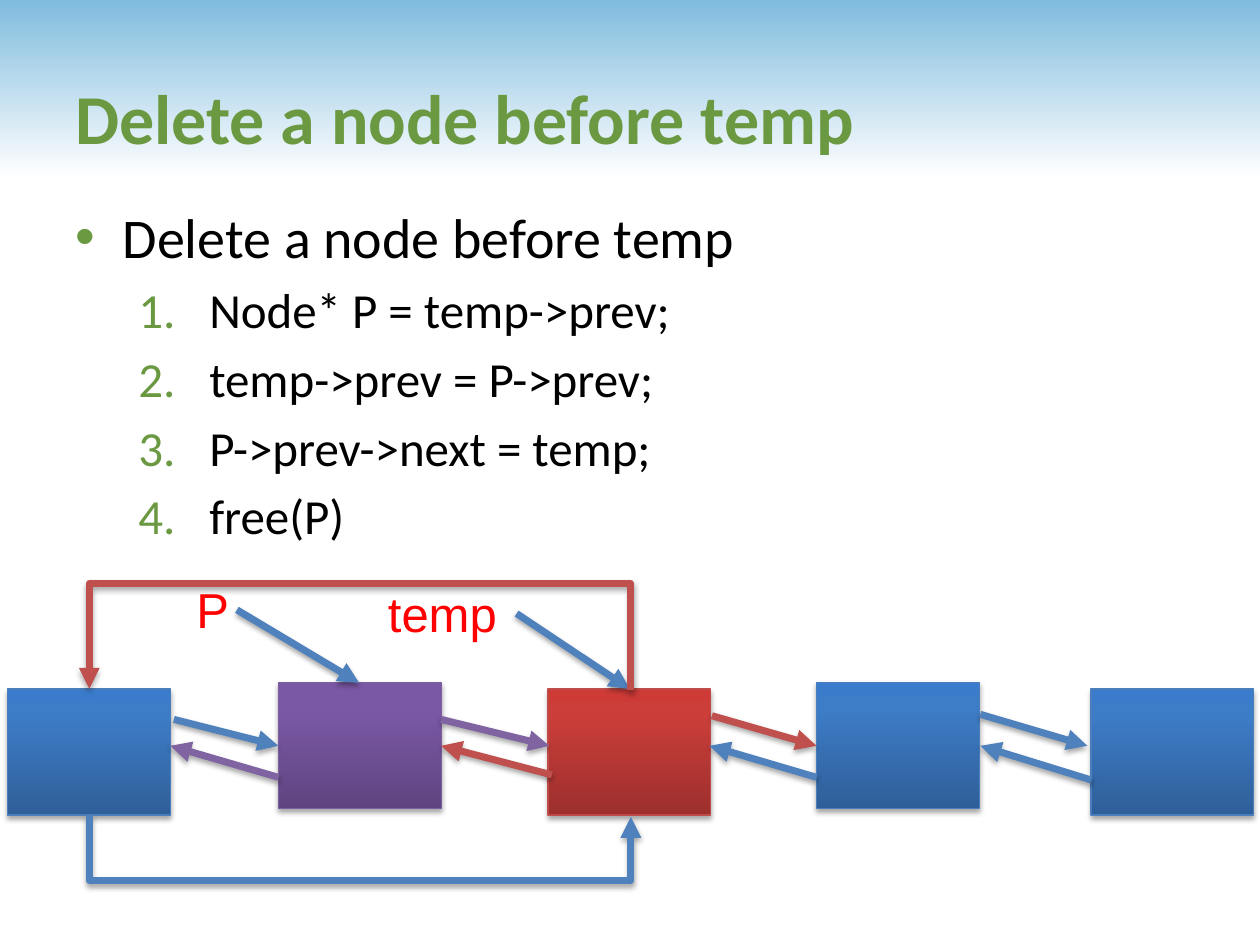
from lxml import etree
from pptx import Presentation
from pptx.dml.color import RGBColor
from pptx.enum.shapes import MSO_CONNECTOR, MSO_SHAPE
from pptx.enum.text import MSO_ANCHOR
from pptx.oxml import parse_xml
from pptx.oxml.ns import nsdecls, qn
from pptx.util import Pt

RECT = MSO_SHAPE.RECTANGLE
PLATE = MSO_SHAPE.PENTAGON
LINE = MSO_CONNECTOR.STRAIGHT
ELBOW = MSO_CONNECTOR.ELBOW
TOP = MSO_ANCHOR.TOP
MIDDLE = MSO_ANCHOR.MIDDLE

GREEN = RGBColor(0x6B, 0x99, 0x41)
BLACK = RGBColor(0, 0, 0)
BRIGHT = RGBColor(0xFF, 0, 0)
BLUE = RGBColor(0x4F, 0x81, 0xBD)
RED = RGBColor(0xC0, 0x50, 0x4D)
PURPLE = RGBColor(0x80, 0x64, 0xA2)
BLUE_EDGE = RGBColor(0x4B, 0x7E, 0xBC)
RED_EDGE = RGBColor(0xBF, 0x4C, 0x48)
PURPLE_EDGE = RGBColor(0x7D, 0x60, 0xA0)

SKY = ((0, "80BCDE"), (100, "FFFFFF"))
BLUE_FADE = ((0, "2F5F99"), (80, "3D7CC7"), (100, "3A7CCB"))
RED_FADE = ((0, "9C2F2D"), (80, "CB3E3A"), (100, "CE3B37"))
PURPLE_FADE = ((0, "5F4480"), (80, "7B58A6"), (100, "7C57A8"))

STEPS = ("Node* P = temp->prev;", "temp->prev = P->prev;",
         "P->prev->next = temp;", "free(P)")
WIDE, HIGH = 93, 72
NODES = ((4.3, 393.8, BLUE_FADE, BLUE_EDGE),
         (159.1, 390.2, PURPLE_FADE, PURPLE_EDGE),
         (313.2, 393.8, RED_FADE, RED_EDGE),
         (466.6, 390.2, BLUE_FADE, BLUE_EDGE),
         (623.5, 393.8, BLUE_FADE, BLUE_EDGE))
ARROWS = ((99.4, 411.1, 159.1, 426.2, BLUE),
          (159.1, 444.2, 97.3, 426.2, PURPLE),
          (252, 411.1, 313.9, 426.2, PURPLE),
          (315.4, 442.8, 252, 426.2, RED),
          (406.8, 409, 466.6, 426.2, RED),
          (466.6, 444.2, 405.4, 426.2, BLUE),
          (560.2, 408.2, 621.4, 426.2, BLUE),
          (623.5, 445.7, 560.2, 426.2, BLUE),
          (295.2, 350.6, 360, 393.8, BLUE),
          (135.4, 348.5, 205.2, 390.2, BLUE))


def put(para, text, **form):
    """Write text into a paragraph with the given format."""
    mark = form.get("mark")
    if mark:
        props = para._p.get_or_add_pPr()
        props.set("lvl", str(form.get("level", 0)))
        props.set("marL", str(Pt(form["left"])))
        props.set("indent", str(-Pt(form["hang"])))
        tint = etree.SubElement(props, qn("a:buClr"))
        etree.SubElement(tint, qn("a:srgbClr"), val=str(GREEN))
        etree.SubElement(props, qn("a:buFont"), typeface="Arial" if mark == "•" else "+mj-lt")
        if mark == "•":
            etree.SubElement(props, qn("a:buChar"), char=mark)
        else:
            etree.SubElement(props, qn("a:buAutoNum"), type=mark)
    if "before" in form:
        para.space_before = Pt(form["before"])
    run = para.add_run()
    run.text = text
    run.font.name = form.get("font", "Calibri")
    run.font.size = Pt(form["size"])
    run.font.bold = form.get("bold", False)
    run.font.color.rgb = form.get("color", BLACK)


class Board:
    """Holds the style and the current slide."""

    def __init__(self, slide):
        self.shapes = slide.shapes
        self.weight = Pt(4)
        self.edge = Pt(0.75)

    def shade(self, props):
        """Cast a soft shadow straight down."""
        props.append(parse_xml(
            f'<a:effectLst {nsdecls("a")}><a:outerShdw blurRad="{Pt(3.1)}" '
            f'dist="{Pt(1.8)}" dir="5400000" rotWithShape="0"><a:srgbClr val="000000">'
            '<a:alpha val="35000"/></a:srgbClr></a:outerShdw></a:effectLst>'))

    def block(self, kind, x, y, wide, high, fade, turn, edge=None):
        """Draw a shape with a gradient fill."""
        shape = self.shapes.add_shape(kind, Pt(x), Pt(y), Pt(wide), Pt(high))
        if edge is None:
            shape.line.fill.background()
            shape.shadow.inherit = False
        else:
            shape.line.color.rgb = edge
            shape.line.width = self.edge
            self.shade(shape._element.spPr)
        stops = "".join(f'<a:gs pos="{spot * 1000}"><a:srgbClr val="{tint}"/></a:gs>'
                        for spot, tint in fade)
        fill = parse_xml(f'<a:gradFill {nsdecls("a")} rotWithShape="1"><a:gsLst>{stops}'
                         f'</a:gsLst><a:lin ang="{turn * 60000}" scaled="0"/></a:gradFill>')
        shape._element.spPr.find(qn("a:prstGeom")).addnext(fill)
        return shape

    def arrow(self, x, y, end, drop, color, kind=LINE):
        """Draw a line with an arrowhead at its end."""
        line = self.shapes.add_connector(kind, Pt(x), Pt(y), Pt(end), Pt(drop))
        line.line.color.rgb = color
        line.line.width = self.weight
        etree.SubElement(line.line._get_or_add_ln(), qn("a:tailEnd"), type="triangle")
        self.shade(line._element.spPr)
        return line

    def loop(self, x, y, end, drop, reach, color):
        """Draw an elbow arrow that leaves and arrives upright."""
        midx, midy = (x + end) / 2, (y + drop) / 2
        line = self.arrow(midx - (y - midy), midy + x - midx,
                          midx - (drop - midy), midy + end - midx, color, ELBOW)
        props = line._element.spPr
        props.find(qn("a:xfrm")).set("rot", str(270 * 60000))
        geom = props.find(qn("a:prstGeom"))
        guides = geom.get_or_add_avLst()
        ratio = round(reach / abs(drop - y) * 100000)
        etree.SubElement(guides, qn("a:gd"), name="adj1", fmla=f"val {ratio}")

    def words(self, x, y, wide, high, anchor=TOP):
        """Add a text box and return its frame."""
        frame = self.shapes.add_textbox(Pt(x), Pt(y), Pt(wide), Pt(high)).text_frame
        frame.word_wrap = True
        frame.vertical_anchor = anchor
        return frame


def main():
    """Build the slide and save it."""
    deck = Presentation()
    deck.slide_width, deck.slide_height = Pt(720), Pt(540)
    board = Board(deck.slides.add_slide(deck.slide_layouts[6]))

    band = board.block(PLATE, 0, 0, 720, 102.2, SKY, 90)
    band.adjustments[0] = 0
    title = board.words(36, 21.6, 648, 90, MIDDLE)
    put(title.paragraphs[0], "Delete a node before temp", size=40, bold=True, color=GREEN)

    body = board.words(36, 112.3, 653.8, 324)
    put(body.paragraphs[0], "Delete a node before temp", size=32, mark="•", left=27, hang=27)
    for step in STEPS:
        put(body.add_paragraph(), step, size=28, before=5.6, mark="arabicPeriod",
            level=1, left=76.5, hang=40.5)

    for x, y, fade, edge in NODES:
        board.block(RECT, x, y, WIDE, HIGH, fade, 270, edge)
    for ends in ARROWS:
        board.arrow(*ends)
    for text, x, y, wide in (("temp", 214.6, 329.8, 80.6), ("P", 105.1, 327.6, 29.5)):
        put(board.words(x, y, wide, 41).paragraphs[0], text, size=28, font="Arial", color=BRIGHT)
    board.loop(360.5, 394.6, 51, 393.6, 61.77, RED)
    board.loop(51, 465.8, 360.5, 466.8, 37.77, BLUE)
    deck.save("out.pptx")


if __name__ == "__main__":
    main()
